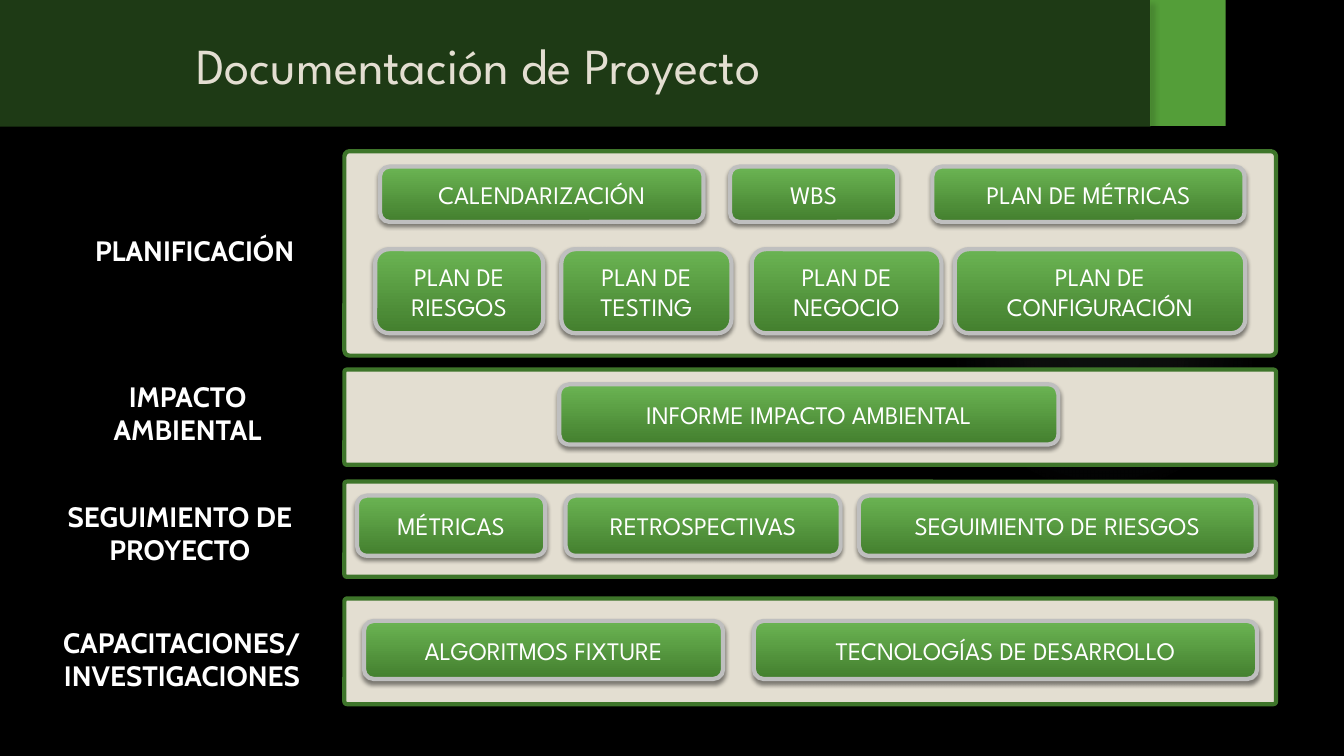
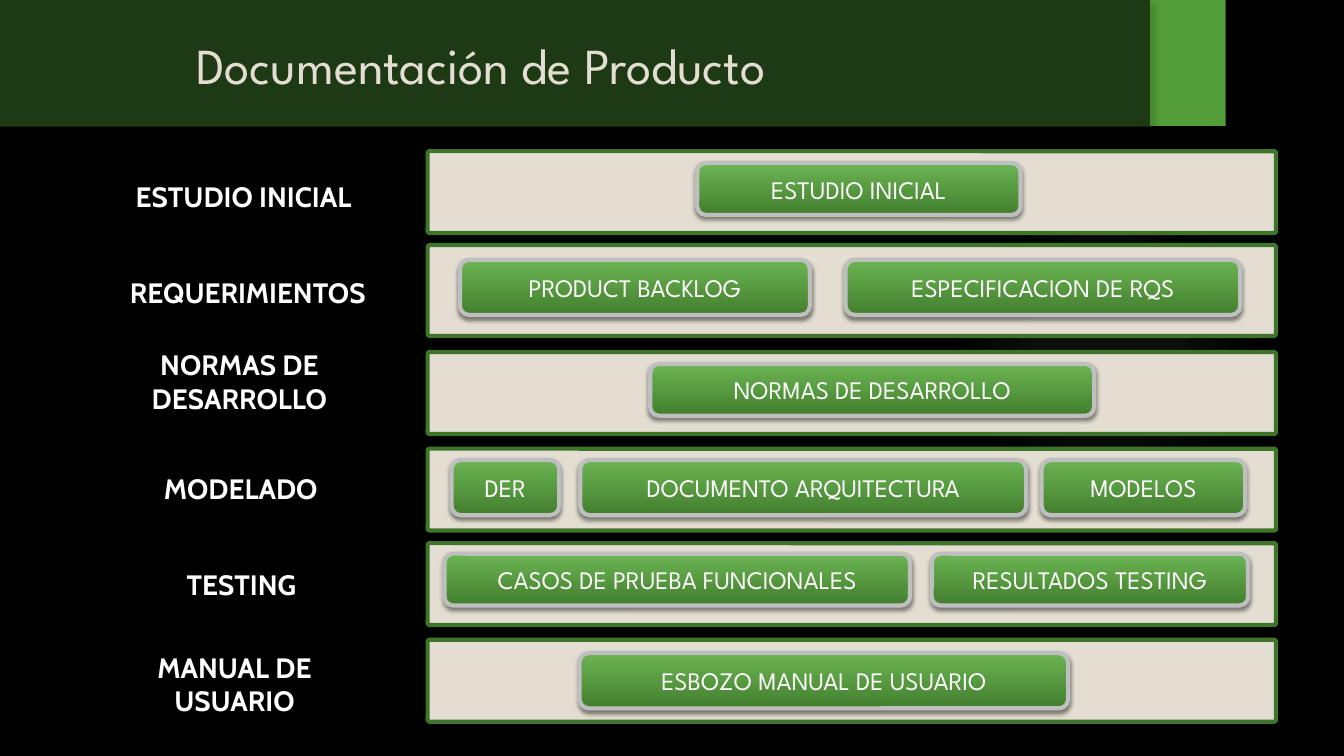
from dataclasses import dataclass

from lxml import etree
from pptx import Presentation
from pptx.dml.color import RGBColor
from pptx.enum.shapes import MSO_SHAPE as SHAPE
from pptx.enum.text import MSO_ANCHOR as ANCHOR, MSO_AUTO_SIZE as AUTO_SIZE, PP_ALIGN as ALIGN
from pptx.oxml import parse_xml
from pptx.oxml.ns import nsdecls, qn
from pptx.util import Pt

# Shared look
COLORS = {
    "background": "000000", "green": "549E39", "cream": "E3DED1",
    "border": "3E752A", "button_top": "6BB453", "button_bottom": "437F2E",
    "button_line": "BFBFBF", "white": "FFFFFF", "glow": "AFC5B9", "shadow": "000000",
}
TITLE_FONT, LABEL_FONT = "League Spartan", "Cabin"
PANEL_RIGHT = 911.5
LABEL_WIDTH, LABEL_HEIGHT = 200, 56


@dataclass
class Section:
    label: str
    label_center: tuple  # x, y
    panel: tuple         # top, height
    rows: list           # (top, height, [(text, left, width), ...])


PROJECT = [
    Section("PLANIFICACIÓN", (139, 178.5), (108, 146), [
        (119, 39.5, [("CALENDARIZACIÓN", 271.5, 231), ("WBS", 521.5, 119.5),
                     ("PLAN DE MÉTRICAS", 666, 223)]),
        (178, 60, [("PLAN DE RIESGOS", 268, 120), ("PLAN DE TESTING", 401, 121.5),
                   ("PLAN DE NEGOCIO", 537, 135.5),
                   ("PLAN DE CONFIGURACIÓN", 682, 207.5)])]),
    Section("IMPACTO\nAMBIENTAL", (134, 295), (264, 68), [
        (274.5, 43, [("INFORME IMPACTO AMBIENTAL", 399.5, 356.5)])]),
    Section("SEGUIMIENTO DE PROYECTO", (128.5, 380.5), (344, 68), [
        (354, 43, [("MÉTRICAS", 255, 134.5), ("RETROSPECTIVAS", 404, 196.5),
                   ("SEGUIMIENTO DE RIESGOS", 613.5, 283.5)])]),
    Section("CAPACITACIONES/\nINVESTIGACIONES", (130, 470.5), (427.5, 75.5), [
        (443.5, 41.5, [("ALGORITMOS FIXTURE", 260, 256.5),
                       ("TECNOLOGÍAS DE DESARROLLO", 538.5, 359.5)])]),
]

PRODUCT = [
    Section("ESTUDIO INICIAL", (174, 140.5), (108, 58.5), [
        (116.5, 37, [("ESTUDIO INICIAL", 498, 231)])]),
    Section("REQUERIMIENTOS", (177, 209), (175, 65), [
        (185.5, 39.5, [("PRODUCT BACKLOG", 328.5, 250),
                       ("ESPECIFICACION DE RQS", 604, 282)])]),
    Section("NORMAS DE DESARROLLO", (171, 272.5), (251.5, 58.5), [
        (260, 37, [("NORMAS DE DESARROLLO", 464.5, 317)])]),
    Section("MODELADO", (172, 348.5), (320.5, 58.5), [
        (328.5, 39.5, [("DER", 322.5, 77), ("DOCUMENTO ARQUITECTURA", 414.5, 318.5),
                       ("MODELOS", 744, 145.5)])]),
    Section("TESTING", (172.5, 417.5), (388, 58.5), [
        (395.5, 37, [("CASOS DE PRUEBA FUNCIONALES", 317.5, 332.5),
                     ("RESULTADOS TESTING", 665.5, 226)])]),
    Section("MANUAL DE USUARIO", (167.5, 488.5), (457, 58.5), [
        (466.5, 39.5, [("ESBOZO MANUAL DE USUARIO", 414, 349)])]),
]


def rgb(name):
    return RGBColor.from_string(COLORS[name])


def add_shape(slide, kind, left, top, width, height, fill=None, line=None):
    sp = slide.shapes.add_shape(kind, Pt(left), Pt(top), Pt(width), Pt(height))
    sp.shadow.inherit = False
    if fill:
        sp.fill.solid()
        sp.fill.fore_color.rgb = rgb(fill)
    if line:
        sp.line.color.rgb = rgb(line)
        sp.line.width = Pt(3)
    else:
        sp.line.fill.background()
    return sp


def add_shadow(sp, alpha, blur, distance, angle):
    effects = sp._element.spPr.find(qn("a:effectLst"))
    effects.append(parse_xml(
        f'<a:outerShdw {nsdecls("a")} blurRad="{Pt(blur)}" dist="{Pt(distance)}" '
        f'dir="{angle * 60000}" rotWithShape="0"><a:srgbClr val="{COLORS["shadow"]}">'
        f'<a:alpha val="{alpha * 1000}"/></a:srgbClr></a:outerShdw>'))


def set_text(tf, text, font, size, color, bold=False, align=ALIGN.CENTER):
    tf.text = text
    tf.word_wrap = True
    tf.auto_size = AUTO_SIZE.NONE
    tf.vertical_anchor = ANCHOR.MIDDLE
    for p in tf.paragraphs:
        p.alignment = align
        for r in p.runs:
            r.font.name, r.font.size, r.font.bold = font, Pt(size), bold
            r.font.color.rgb = rgb(color)


def add_glow(slide):
    sp = add_shape(slide, SHAPE.OVAL, 677.5, 132, 222, 222)
    sp.fill.background()
    stops = "".join(
        f'<a:gs pos="{pos * 1000}"><a:srgbClr val="{COLORS["glow"]}">'
        f'<a:alpha val="{alpha * 1000}"/></a:srgbClr></a:gs>'
        for pos, alpha in ((0, 7), (36, 6), (69, 0)))
    spPr = sp._element.spPr
    spPr.replace(spPr.find(qn("a:noFill")), parse_xml(
        f'<a:gradFill {nsdecls("a")}><a:gsLst>{stops}</a:gsLst><a:path path="circle">'
        '<a:fillToRect l="50000" t="50000" r="50000" b="50000"/></a:path></a:gradFill>'))
    return sp


def add_header(slide):
    accent = add_shape(slide, SHAPE.RECTANGLE, 821.5, 0, 54, 90, "green")
    add_shadow(accent, 45, 3, 2, 90)
    band = add_shape(slide, SHAPE.RECTANGLE, 0, 0, 822, 90.5, "green")
    color = band._element.spPr.find(qn("a:solidFill"))[0]
    etree.SubElement(color, qn("a:alpha")).set("val", "37000")
    add_shadow(band, 40, 4, 3, 45)
    return [accent, band]


def set_up_layout(prs, layout):
    """Put the background, header and title position on the layout."""
    fill = layout.background.fill
    fill.solid()
    fill.fore_color.rgb = rgb("background")
    title = layout.placeholders[0]
    title.left, title.top, title.width, title.height = Pt(133), Pt(15), Pt(598), Pt(62)
    # Layouts cannot add shapes, so draw on a slide and move them over
    slide = prs.slides[0]
    for i, sp in enumerate([add_glow(slide), *add_header(slide)]):
        layout.shapes._spTree.insert(2 + i, sp._element)


def add_label(slide, text, center):
    x, y = center
    box = slide.shapes.add_textbox(Pt(x - LABEL_WIDTH / 2), Pt(y - LABEL_HEIGHT / 2),
                                   Pt(LABEL_WIDTH), Pt(LABEL_HEIGHT))
    set_text(box.text_frame, text, LABEL_FONT, 20, "white", bold=True)


def add_panel(slide, left, top, height):
    sp = add_shape(slide, SHAPE.ROUNDED_RECTANGLE, left, top, PANEL_RIGHT - left, height,
                   "cream", "border")
    sp.adjustments[0] = 0.025


def add_button(slide, text, left, top, width, height):
    sp = add_shape(slide, SHAPE.ROUNDED_RECTANGLE, left, top, width, height,
                   line="button_line")
    sp.fill.gradient()
    sp.fill.gradient_angle = 270
    for stop, color in zip(sp.fill.gradient_stops, ("button_top", "button_bottom")):
        stop.color.rgb = rgb(color)
    add_shadow(sp, 45, 3, 2, 90)
    tf = sp.text_frame
    tf.margin_top = tf.margin_bottom = 0
    set_text(tf, text, TITLE_FONT, 18, "white")


def fill_slide(slide, title, panel_left, sections):
    set_text(slide.shapes.title.text_frame, title, TITLE_FONT, 36, "cream",
             align=ALIGN.LEFT)
    for section in sections:
        add_label(slide, section.label, section.label_center)
        add_panel(slide, panel_left, *section.panel)
        for top, height, buttons in section.rows:
            for text, left, width in buttons:
                add_button(slide, text, left, top, width, height)


def main():
    prs = Presentation()
    prs.slide_width, prs.slide_height = Pt(960), Pt(540)
    layout = prs.slide_layouts.get_by_name("Title Only")
    project, product = [prs.slides.add_slide(layout) for _ in range(2)]
    set_up_layout(prs, layout)
    fill_slide(project, "Documentación de Proyecto", 246, PROJECT)
    fill_slide(product, "Documentación de Producto", 305.5, PRODUCT)
    prs.save("out.pptx")


if __name__ == "__main__":
    main()
